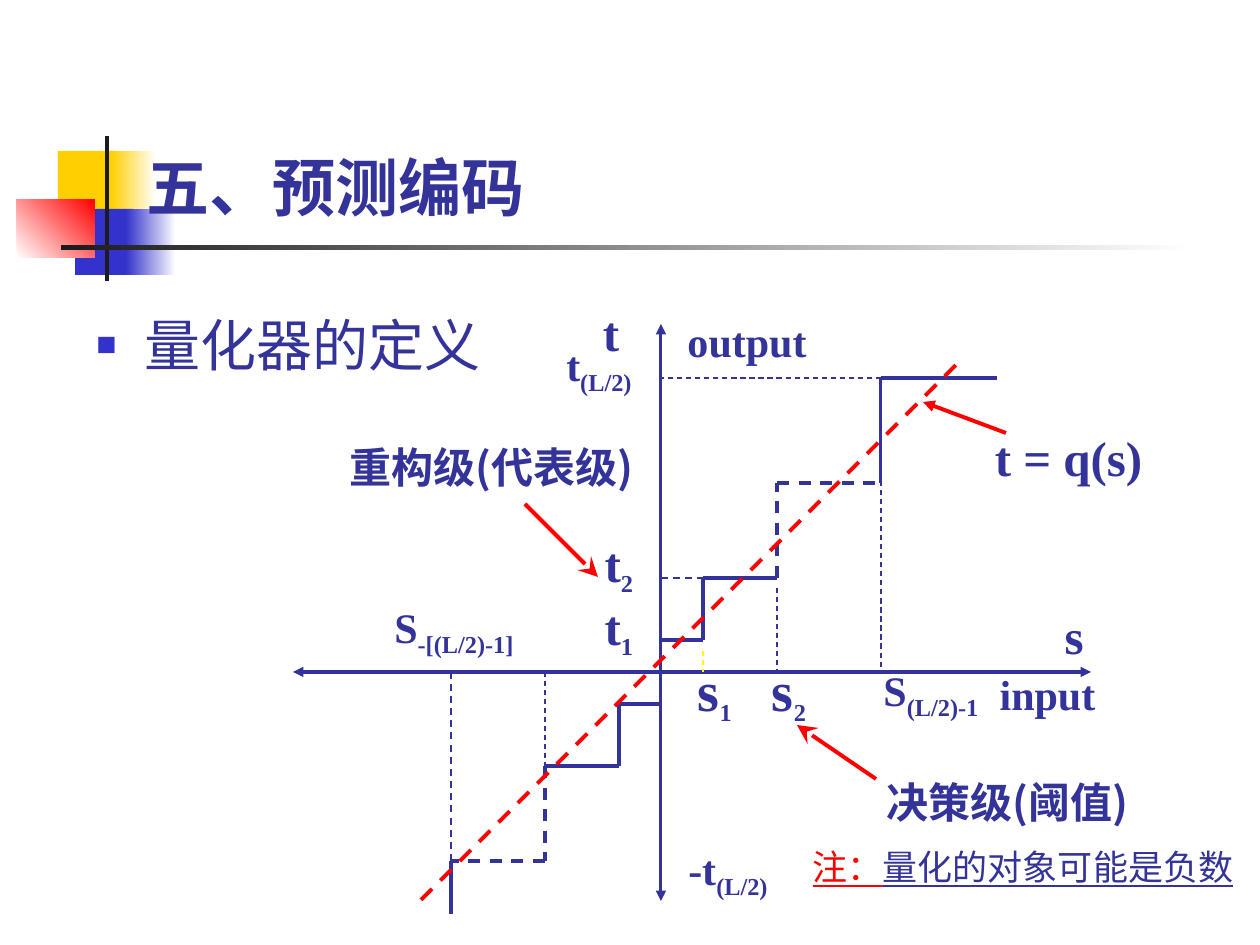
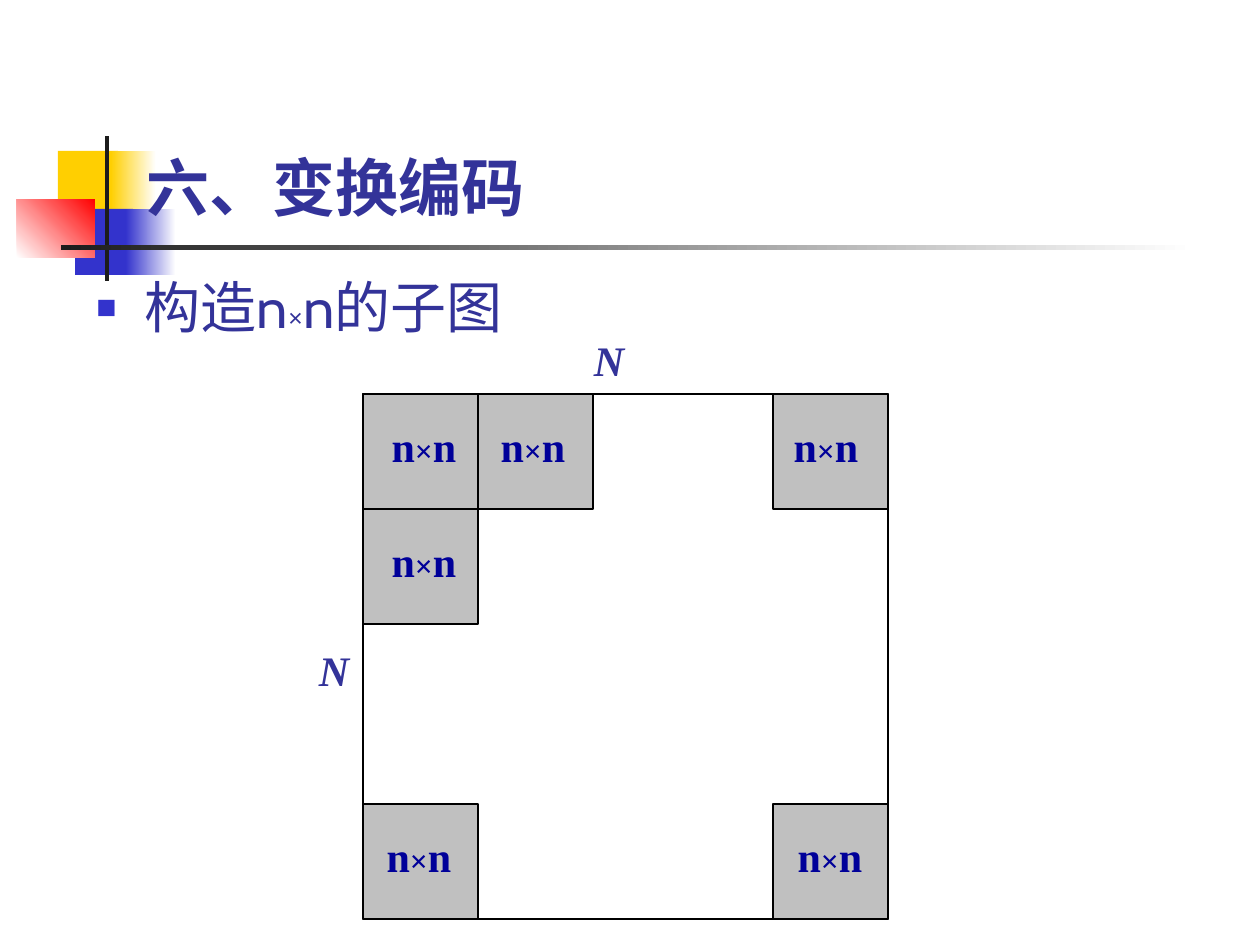
from lxml import etree
from pptx import Presentation
from pptx import util as u
from pptx.dml import color
from pptx.enum import dml, shapes, text
from pptx.oxml import ns

SCALE = 914400 / 126
INK = {"navy": "333399", "deep": "000099", "blue": "3333CC", "gold": "FFCF01",
       "red": "FF0000", "yellow": "FFFF00", "dark": "1C1C1C", "gray": "C0C0C0",
       "white": "FFFFFF", "black": "000000"}
SERIF, SANS, BODY = "Times New Roman", "Noto Sans CJK SC", "Cabin"


def px(*vals):
    """Turn pixels into a list of EMU lengths."""
    return [u.Emu(round(v * SCALE)) for v in vals]


def rgb(name):
    """Look up a named colour."""
    return color.RGBColor.from_string(INK[name])


def sub(node, tag, **attrs):
    """Append a drawing element with attributes."""
    child = etree.SubElement(node, ns.qn("a:" + tag))
    for key, val in attrs.items():
        child.set(key, val)
    return child


def rect(slide, box, fill, fade=None, angle=0, edge=None):
    """Draw a rectangle with a plain fill or a fade to a second colour."""
    shape = slide.shapes.add_shape(shapes.MSO_SHAPE.RECTANGLE, *px(*box))
    shape.shadow.inherit = False
    if fade:
        shape.fill.gradient()
        shape.fill.gradient_angle = angle
        for stop, name in zip(shape.fill.gradient_stops, (fill, fade)):
            stop.color.rgb = rgb(name)
    else:
        shape.fill.solid()
        shape.fill.fore_color.rgb = rgb(fill)
    if edge:
        shape.line.color.rgb = rgb(edge)
        shape.line.width = u.Pt(0.75)
    else:
        shape.line.fill.background()


def line(slide, start, end, ink="navy", width=1.75, dash=False, head=None, tail=None):
    """Draw a straight line, dashed or with arrowheads on request."""
    link = slide.shapes.add_connector(shapes.MSO_CONNECTOR.STRAIGHT, *px(*start, *end))
    link.line.color.rgb = rgb(ink)
    link.line.width = u.Pt(width)
    if dash:
        link.line.dash_style = dml.MSO_LINE.DASH
    edge = link.line._get_or_add_ln()
    for tag, kind in (("headEnd", head), ("tailEnd", tail)):
        if kind:
            size = "lg" if kind == "stealth" else "med"
            sub(edge, tag, type=kind, w=size, len=size)
    sub(link._element.spPr, "effectLst")


def write(slide, box, runs, size=24, font=SERIF, ink="navy", bold=True, italic=False,
          wrap=False, align="CENTER", anchor="MIDDLE", bullet=False, space=None):
    """Place a text box; each run is a text and its own changes of format."""
    frame = slide.shapes.add_textbox(*px(*box)).text_frame
    frame.word_wrap = wrap
    frame.vertical_anchor = text.MSO_ANCHOR[anchor]
    para = frame.paragraphs[0]
    para.alignment = text.PP_ALIGN[align]
    if space:
        para.line_spacing = space
    if bullet:
        props = para._p.get_or_add_pPr()
        props.set("marL", str(px(48)[0]))
        props.set("indent", str(px(-48)[0]))
        sub(sub(props, "buClr"), "srgbClr", val=INK["blue"])
        sub(props, "buSzPct", val="60000")
        sub(props, "buFont", typeface=SERIF)
        sub(props, "buChar", char="■")
    for words, own in runs:
        run = para.add_run()
        run.text = words
        run.font.size = u.Pt(own.get("size", size))
        run.font.name = font
        run.font.bold, run.font.italic = bold, italic
        run.font.underline = own.get("under")
        run.font.color.rgb = rgb(own.get("ink", ink))
        props = run._r.get_or_add_rPr()
        if own.get("low"):
            props.set("baseline", "-25000")
        props.find(ns.qn("a:latin")).addnext(
            props.makeelement(ns.qn("a:ea"), {"typeface": SANS}))


def frame(deck, title):
    """Add a slide with the coloured squares, the rules and the title."""
    slide = deck.slides.add_slide(deck.slide_layouts[6])
    rect(slide, (58, 151, 60, 66), "gold")
    rect(slide, (111, 151, 45, 66), "gold", "white")
    rect(slide, (75, 209, 58, 66), "blue")
    rect(slide, (126, 209, 50, 66), "blue", "white")
    rect(slide, (17, 199, 78, 59), "white", "red", angle=45)
    rect(slide, (105, 136, 4, 145), "dark")
    rect(slide, (61, 245, 1134, 5), "dark", "white")
    write(slide, (134, 134, 1074, 96), [(title, {})], size=36, font=SANS,
          wrap=True, align="LEFT", anchor="BOTTOM")
    return slide


def point(slide, box, runs, space=None):
    """Write the bulleted heading of a slide."""
    write(slide, box, runs, size=32, font=BODY, bold=False, wrap=True,
          align="LEFT", anchor="TOP", bullet=True, space=space)


def curve(slide, left, top):
    """Draw the quantizer steps around the crossing of the axes."""
    def move(x, y):
        return left + x, top + y

    both = {"head": "triangle", "tail": "triangle"}
    line(slide, move(-368, 0), move(430, 0), **both)
    line(slide, move(0, -348), move(0, 229), **both)

    stairs = [
        [(0, -32), (42, -32), (42, -94), (116, -94), (116, -189), (220, -189),
         (220, -294), (336, -294)],
        [(0, 32), (-42, 32), (-42, 94), (-116, 94), (-116, 189), (-210, 189),
         (-210, 242)]]
    for steps in stairs:
        for num, (start, end) in enumerate(zip(steps, steps[1:])):
            line(slide, move(*start), move(*end), dash=num in (3, 4))

    guides = [((220, -200), (220, 0), 0.75, "navy"), ((116, -84), (116, 0), 0.75, "navy"),
              ((0, -94), (42, -94), 1, "navy"), ((220, -294), (0, -294), 0.75, "navy"),
              ((42, -21), (42, 0), 0.75, "yellow"), ((-210, 189), (-210, 0), 1, "navy"),
              ((-116, 0), (-116, 94), 0.75, "navy")]
    for start, end, width, ink in guides:
        line(slide, move(*start), move(*end), ink, width, dash=True)

    labels = [((326, -10, 121, 63), "input", "", 24), ((22, -23, 64, 84), "s", "1", 32),
              ((96, -23, 64, 84), "s", "2", 32), ((208, -14, 124, 70), "S", "(L/2)-1", 24),
              ((14, -363, 144, 63), "output", "", 24), ((391, -73, 44, 72), "s", "", 28),
              ((-71, -376, 42, 72), "t", "", 28), ((-75, -82, 66, 77), "t", "1", 28),
              ((-75, -145, 66, 77), "t", "2", 28), ((-110, -339, 96, 70), "t", "(L/2)", 24),
              ((12, 165, 110, 70), "-t", "(L/2)", 24),
              ((-282, -77, 150, 70), "S", "-[(L/2)-1]", 24),
              ((321, -251, 173, 72), "t = q(s)", "", 28)]
    for (x, y, *size), main, low, points in labels:
        runs = [(main, {})]
        if low:
            runs.append((low, {"size": 24, "low": True}))
        write(slide, (*move(x, y), *size), runs, size=points)

    for (x, y, *size), words in (((193, 98, 307, 63), "决策级(阈值)"),
                                 ((-344, -237, 349, 63), "重构级(代表级)")):
        write(slide, (*move(x, y), *size), [(words, {})], font=SANS)
    for start, end, tail in (((345, -239), (262, -270), "triangle"),
                             ((215, 107), (136, 53), "stealth"),
                             ((-136, -168), (-63, -95), "stealth")):
        line(slide, move(*start), move(*end), "red", 2.25, tail=tail)
    line(slide, move(-240, 228), move(296, -308), "red", 2.25, dash=True)
    write(slide, (*move(139, 167), 446, 55),
          [("注：", {"ink": "red", "under": True}), ("量化的对象可能是负数", {"under": True})],
          size=20, font=SANS, bold=False)


def tiles(slide, left, top, side, cell):
    """Draw the N by N square with its n by n blocks."""
    rect(slide, (left, top, side, side), "white", edge="black")
    far = side - cell
    blocks = [(0, 0, 16), (cell, 0, 10), (far, 0, 8), (0, cell, 16),
              (0, far, 11), (far, far, 12)]
    for x, y, _ in blocks:
        rect(slide, (left + x, top + y, cell, cell), "gray", edge="black")
    for x, y, pad in blocks:
        write(slide, (left + x + pad, top + y + 20, 90, 63),
              [("n", {}), ("×", {"size": 18}), ("n", {})], ink="deep")
    for x, y in ((218, -66), (-57, 244)):
        write(slide, (left + x, top + y, 56, 63), [("N", {})], italic=True)


def main():
    """Build both slides and save them."""
    deck = Presentation()
    deck.slide_width, deck.slide_height = px(1260, 945)

    slide = frame(deck, "五、预测编码")
    point(slide, (84, 304, 912, 91), [("量化器的定义", {})])
    curve(slide, 661, 672)

    slide = frame(deck, "六、变换编码")
    point(slide, (84, 274, 774, 82),
          [("构造n", {}), ("×", {"size": 20}), ("n的子图", {})], space=0.9)
    tiles(slide, 363, 394, 525, 115)

    deck.save("out.pptx")


if __name__ == "__main__":
    main()
